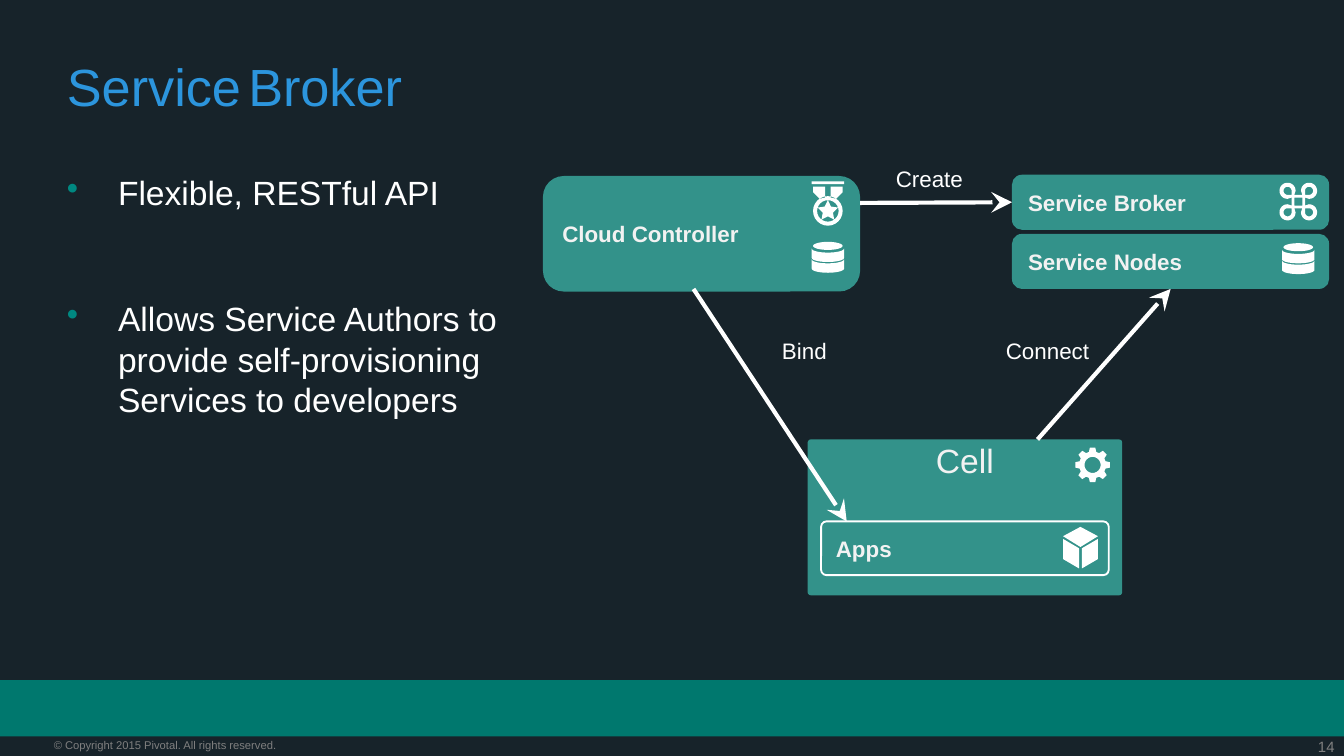
import math
from dataclasses import dataclass

import pptx
import pptx.dml.color
import pptx.enum.shapes
import pptx.enum.text
import pptx.oxml
import pptx.oxml.ns
import pptx.util

Point = tuple[float, float]
Contour = list[Point]
ALIGN = pptx.enum.text.PP_ALIGN
ANCHOR = pptx.enum.text.MSO_ANCHOR
WHITE, PALE, GREY, TEAL, BLUE = "FFFFFF", "F2F2F2", "7F7F7F", "33928A", "2C95DD"


@dataclass
class Node:
    text: str
    bounds: tuple[float, float, float, float]
    corner: float = 0.18
    filled: bool = True
    size: float = 12
    bold: bool = True
    align: ALIGN = ALIGN.LEFT
    anchor: ANCHOR = ANCHOR.MIDDLE


@dataclass
class Label:
    text: str
    bounds: tuple[float, float, float, float]
    size: float = 12
    color: str = WHITE
    align: ALIGN = ALIGN.CENTER
    margins: Point = (0.1, 0.05)


@dataclass
class Arrow:
    start: Point
    end: Point
    target: str = ""
    site: int = 0


NODES = [
    Node("Cell", (6.01, 3.27, 2.34, 1.16), 0.02, size=18, bold=False,
         align=ALIGN.CENTER, anchor=ANCHOR.TOP),
    Node("Apps", (6.11, 3.88, 2.14, 0.4), 0.1, filled=False),
    Node("Service Broker", (7.53, 1.3, 2.36, 0.41)),
    Node("Service Nodes", (7.53, 1.74, 2.36, 0.41)),
    Node("Cloud Controller", (4.04, 1.31, 2.36, 0.86)),
]
LABELS = [
    Label("Create", (6.52, 1.18, 0.79, 0.37)),
    Label("Connect", (7.33, 2.46, 0.93, 0.37)),
    Label("Bind", (5.67, 2.46, 0.63, 0.37)),
    Label("14", (9.35, 5.49, 0.58, 0.14), 8, GREY, ALIGN.RIGHT, (0, 0)),
    Label("© Copyright 2015 Pivotal. All rights reserved.", (0.4, 5.49, 2.49, 0.1),
          6, GREY, ALIGN.LEFT, (0, 0)),
]
ARROWS = [
    Arrow((6.4, 1.51), (7.53, 1.5), "Service Broker", 1),
    Arrow((7.72, 3.27), (8.71, 2.15), "Service Nodes", 2),
    Arrow((5.16, 2.15), (6.3, 3.88)),
]
BULLETS = [
    ("Flexible, RESTful API", 0),
    ("Allows Service Authors to provide self-provisioning Services to developers", 46),
]


def lengths(*values: float) -> list[pptx.util.Length]:
    return [pptx.util.Inches(value) for value in values]


def rgb(color: str) -> pptx.dml.color.RGBColor:
    return pptx.dml.color.RGBColor.from_string(color)


def add_element(parent, name: str, **attributes: str):
    element = pptx.oxml.parse_xml(f"<a:{name} {pptx.oxml.ns.nsdecls('a')}/>")
    for key, value in attributes.items():
        element.set(key, value)
    parent.append(element)
    return element


def add_run(paragraph, text: str, size: float, color: str, bold: bool = False) -> None:
    run = paragraph.add_run()
    run.text = text
    run.font.name = "Arial"
    run.font.size = pptx.util.Pt(size)
    run.font.bold = bold
    run.font.color.rgb = rgb(color)


def set_frame(shape, horizontal: float, vertical: float, anchor: ANCHOR = ANCHOR.TOP):
    frame = shape.text_frame
    frame.word_wrap = True
    frame.vertical_anchor = anchor
    frame.margin_left = frame.margin_right = pptx.util.Inches(horizontal)
    frame.margin_top = frame.margin_bottom = pptx.util.Inches(vertical)
    return frame


def paint(shape, color: str) -> None:
    shape.shadow.inherit = False
    shape.fill.solid()
    shape.fill.fore_color.rgb = rgb(color)
    shape.line.fill.background()


def add_node(slide, node: Node):
    shape = slide.shapes.add_shape(
        pptx.enum.shapes.MSO_SHAPE.ROUNDED_RECTANGLE, *lengths(*node.bounds))
    shape.adjustments[0] = node.corner
    paint(shape, TEAL)
    if not node.filled:
        shape.fill.background()
        shape.line.color.rgb = rgb(WHITE)
        shape.line.width = pptx.util.Pt(1)
    paragraph = set_frame(shape, 0.1, 0, node.anchor).paragraphs[0]
    paragraph.alignment = node.align
    add_run(paragraph, node.text, node.size, PALE, node.bold)
    return shape


def add_label(slide, label: Label) -> None:
    box = slide.shapes.add_textbox(*lengths(*label.bounds))
    paragraph = set_frame(box, *label.margins).paragraphs[0]
    paragraph.alignment = label.align
    add_run(paragraph, label.text, label.size, label.color)


def add_arrow(slide, arrow: Arrow, nodes: dict) -> None:
    connector = slide.shapes.add_connector(
        pptx.enum.shapes.MSO_CONNECTOR.STRAIGHT, *lengths(*arrow.start, *arrow.end))
    if arrow.target:
        connector.end_connect(nodes[arrow.target], arrow.site)
    connector.line.color.rgb = rgb(WHITE)
    connector.line.width = pptx.util.Pt(2.25)
    add_element(connector.get_or_add_ln(), "tailEnd", type="stealth", w="lg", len="lg")
    add_element(connector._element.spPr, "effectLst")


def arc(x: float, y: float, rx: float, ry: float, start: float, sweep: float) -> Contour:
    angles = [math.radians(start + sweep * step / 24) for step in range(25)]
    return [(x + rx * math.cos(angle), y + ry * math.sin(angle)) for angle in angles]


def circle(y: float, radius: float) -> Contour:
    return arc(0, y, radius, radius, 0, 360)


def polar(y: float, corners: list[Point]) -> Contour:
    return [(radius * math.cos(math.radians(angle)), y + radius * math.sin(math.radians(angle)))
            for angle, radius in corners]


def mirror(contour: Contour) -> Contour:
    return [(-x, y) for x, y in contour]


def quarter_turn(contour: Contour, turns: int) -> Contour:
    for _ in range(turns):
        contour = [(-y, x) for x, y in contour]
    return contour


def add_icon(slide, x: float, y: float, contours: list[Contour]) -> None:
    placed = [[lengths(x + dx, y + dy) for dx, dy in contour] for contour in contours]
    builder = slide.shapes.build_freeform(*placed[0][0], scale=1.0)
    for index, contour in enumerate(placed):
        if index:
            builder.move_to(*contour[0])
        builder.add_line_segments(contour[1:], close=True)
    paint(builder.convert_to_shape(), WHITE)


def database_icon() -> list[Contour]:
    bands = [arc(0, y, 0.12, 0.03, 180, -180) + arc(0, y + 0.07, 0.12, 0.03, 0, 180)
             for y in (-0.07, 0.01)]
    return [arc(0, -0.09, 0.11, 0.03, 0, 360)] + bands


def gear_icon() -> list[Contour]:
    tooth = [(-16, 0.1), (-9, 0.13), (9, 0.13), (16, 0.1)]
    corners = [(45 * turn + angle, radius) for turn in range(8) for angle, radius in tooth]
    return [polar(0, corners), circle(0, 0.06)]


def cube_icon() -> list[Contour]:
    side = [(0.01, 0), (0.13, -0.07), (0.13, 0.08), (0.01, 0.15)]
    return [[(0, -0.16), (0.13, -0.09), (0, -0.01), (-0.13, -0.09)], side, mirror(side)]


def loop_icon() -> list[Contour]:
    corner = [(0.03, -0.05)] + arc(0.08, -0.08, 0.06, 0.06, 180, 270) + [(0.05, -0.03)]
    hole = arc(0.08, -0.08, 0.03, 0.03, 180, 270) + [(0.05, -0.05)]
    outline = [point for turn in range(4) for point in quarter_turn(corner, turn)]
    center = [quarter_turn([(0.03, -0.03)], turn)[0] for turn in range(4)]
    return [outline, center] + [quarter_turn(hole, turn) for turn in range(4)]


def medal_icon() -> list[Contour]:
    bar = [(-0.12, -0.17), (0.12, -0.17), (0.12, -0.15), (-0.12, -0.15)]
    ribbon = [(0.02, -0.13), (0.11, -0.13), (0.11, -0.09), (0.06, -0.04), (0.02, -0.05)]
    star = polar(0.05, [(36 * tip - 90, 0.04 if tip % 2 else 0.08) for tip in range(10)])
    return [bar, ribbon, mirror(ribbon), circle(0.05, 0.11), circle(0.05, 0.08), star]


def add_title(slide) -> None:
    box = slide.shapes.add_textbox(*lengths(0.4, 0.36, 9.2, 0.5))
    paragraph = set_frame(box, 0.1, 0.1).paragraphs[0]
    paragraph.line_spacing = 0.9
    for text, size, color in (("Service", 28, BLUE), (" ", 14, "000000"), ("Broker", 28, BLUE)):
        add_run(paragraph, text, size, color)


def add_bullets(slide) -> None:
    frame = set_frame(slide.shapes.add_textbox(*lengths(0.4, 1.18, 4.21, 3.7)), 0.1, 0.1)
    for index, (text, space) in enumerate(BULLETS):
        paragraph = frame.add_paragraph() if index else frame.paragraphs[0]
        paragraph.space_before = pptx.util.Pt(space)
        properties = paragraph._p.get_or_add_pPr()
        properties.set("marL", str(pptx.util.Inches(0.38)))
        properties.set("indent", str(pptx.util.Inches(-0.38)))
        add_element(add_element(properties, "buClr"), "srgbClr", val="008881")
        add_element(properties, "buChar", char="•")
        paragraph.font.size = pptx.util.Pt(18)
        add_run(paragraph, text, 18, WHITE)


def main() -> None:
    presentation = pptx.Presentation()
    presentation.slide_width, presentation.slide_height = lengths(10, 5.625)
    slide = presentation.slides.add_slide(presentation.slide_layouts[6])
    slide.background.fill.solid()
    slide.background.fill.fore_color.rgb = rgb("17232A")
    band = slide.shapes.add_shape(
        pptx.enum.shapes.MSO_SHAPE.RECTANGLE, *lengths(0, 5.06, 10, 0.42))
    paint(band, "00786E")
    add_title(slide)
    add_bullets(slide)
    nodes = {node.text: add_node(slide, node) for node in NODES}
    for x, y, contours in (
            (8.04, 4.08, cube_icon()), (8.13, 3.46, gear_icon()), (9.66, 1.5, loop_icon()),
            (6.16, 1.52, medal_icon()), (9.66, 1.93, database_icon()),
            (6.16, 1.92, database_icon())):
        add_icon(slide, x, y, contours)
    for arrow in ARROWS:
        add_arrow(slide, arrow, nodes)
    for label in LABELS:
        add_label(slide, label)
    presentation.save("out.pptx")


if __name__ == "__main__":
    main()
